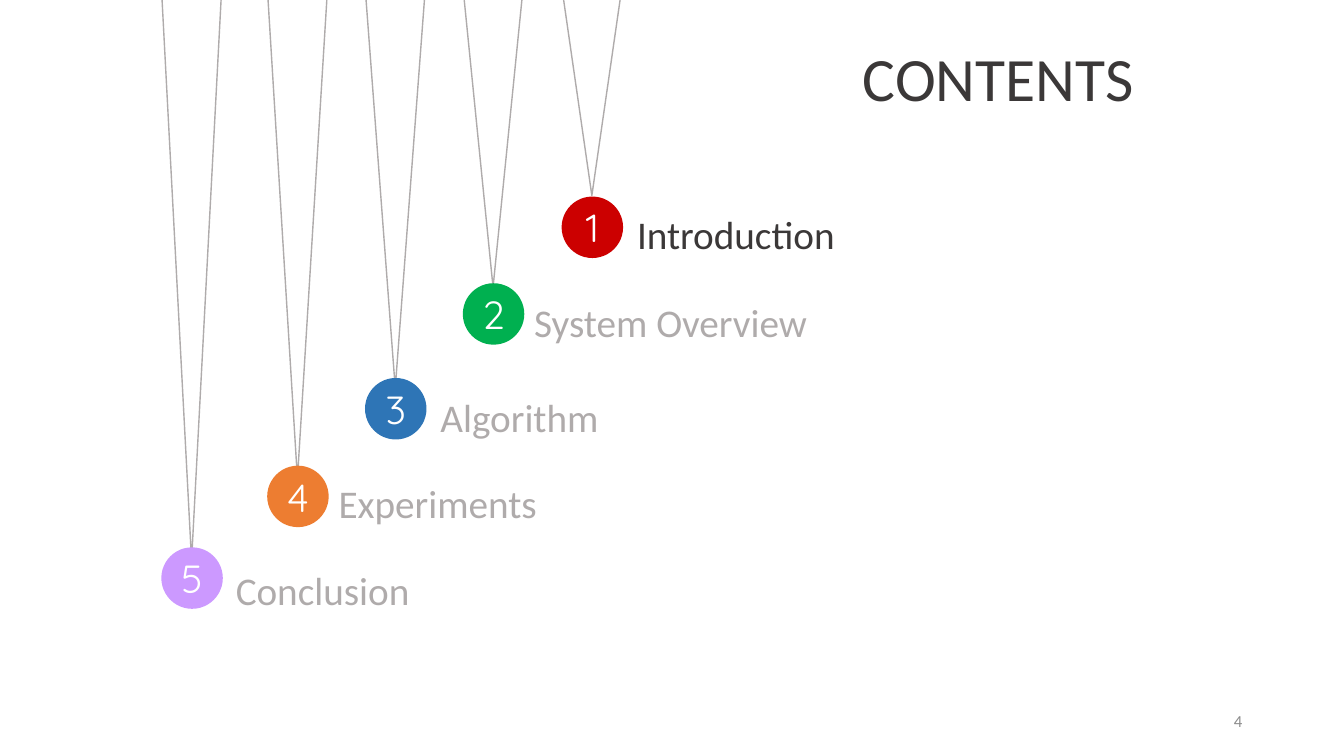
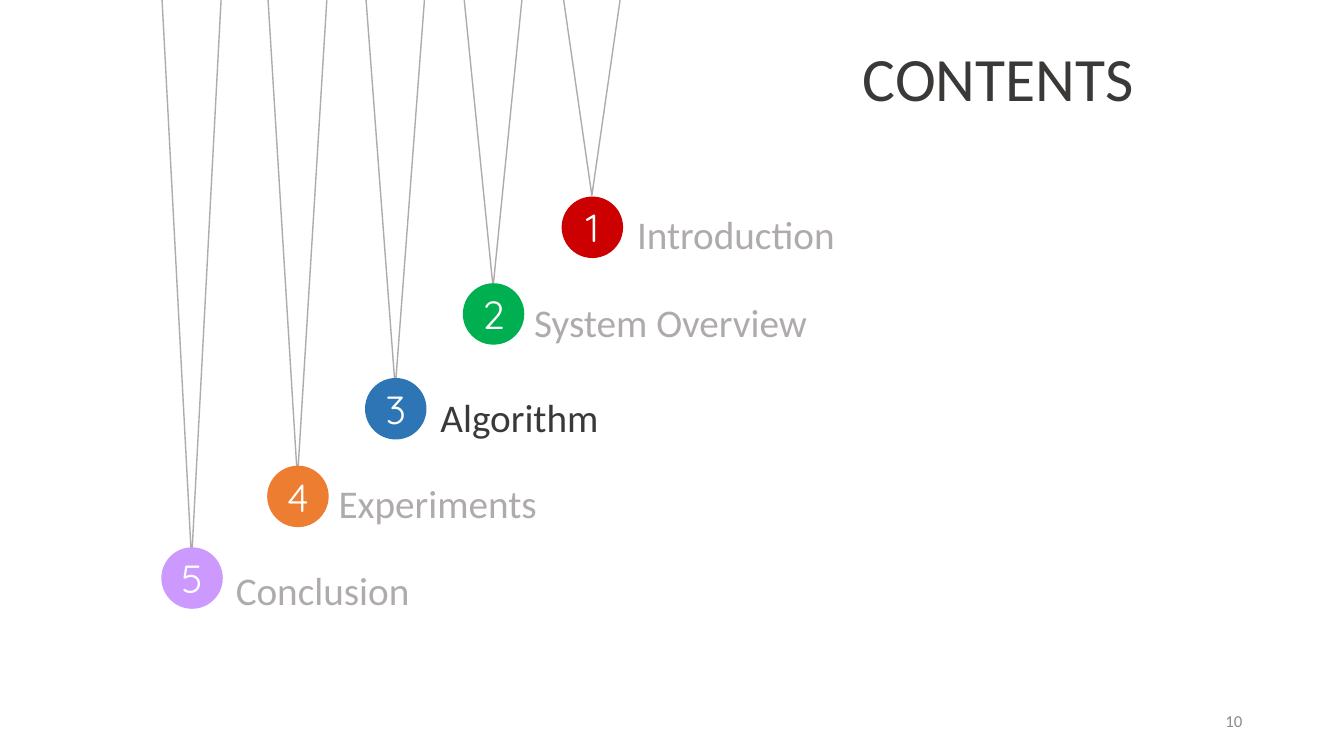
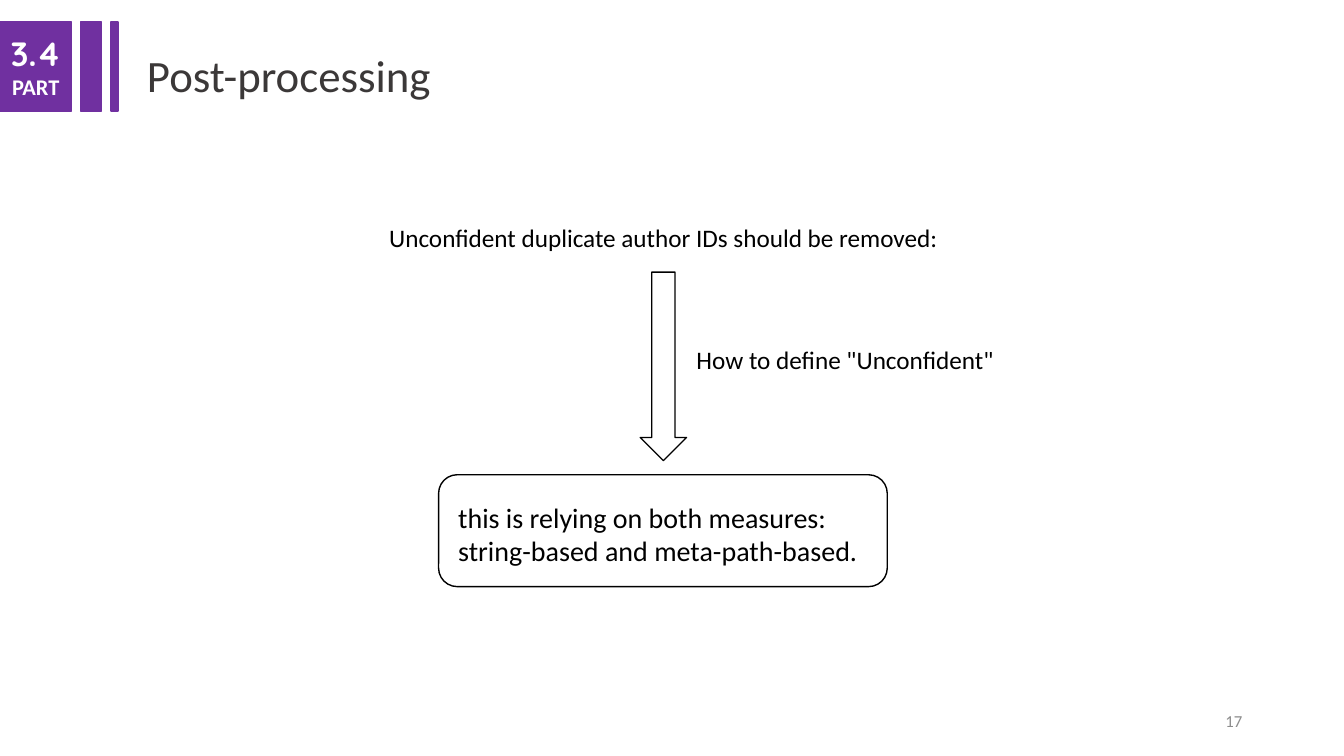
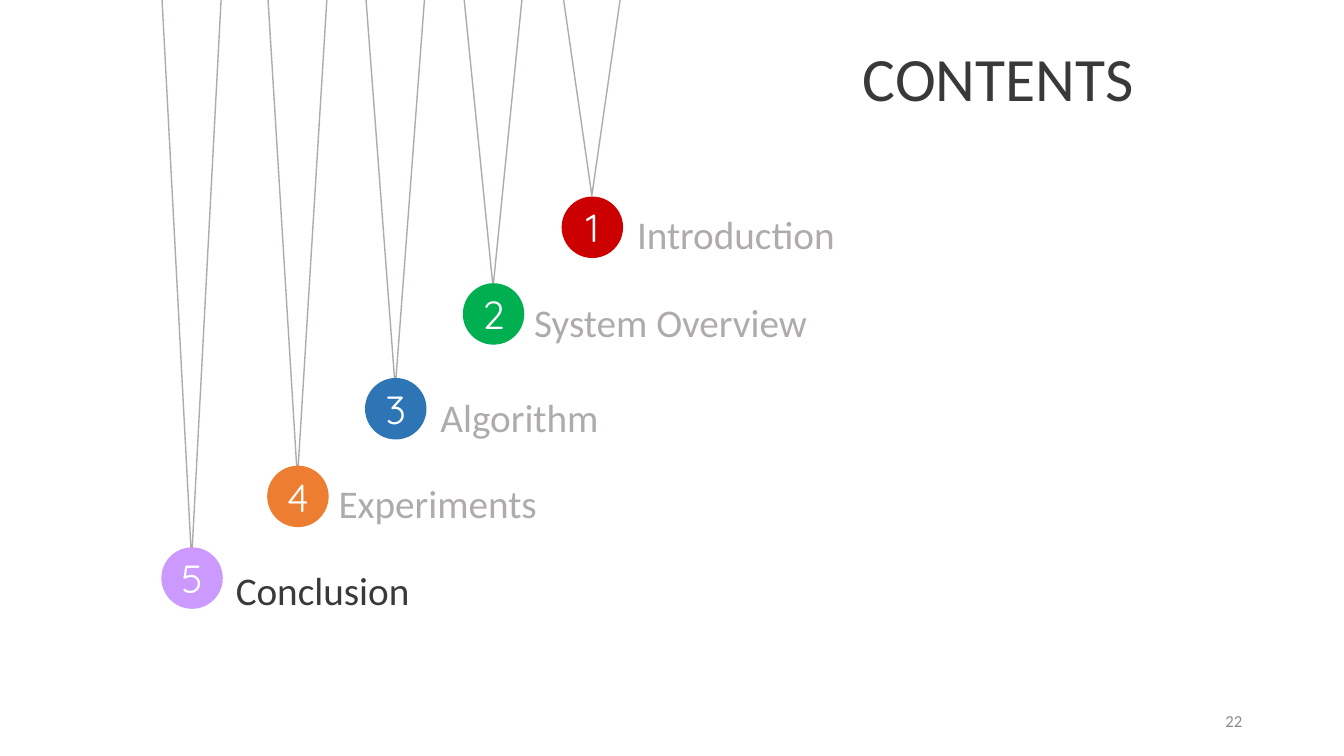
from pptx import Presentation
from pptx.dml.color import RGBColor
from pptx.enum.shapes import MSO_SHAPE
from pptx.enum.text import MSO_ANCHOR, PP_ALIGN
from pptx.util import Inches, Pt

TRIANGLE, OVAL = MSO_SHAPE.ISOSCELES_TRIANGLE, MSO_SHAPE.OVAL
RECT, ROUND = MSO_SHAPE.RECTANGLE, MSO_SHAPE.ROUNDED_RECTANGLE
ARROW = MSO_SHAPE.DOWN_ARROW
LEFT, CENTER, RIGHT = PP_ALIGN.LEFT, PP_ALIGN.CENTER, PP_ALIGN.RIGHT
TOP, MIDDLE = MSO_ANCHOR.TOP, MSO_ANCHOR.MIDDLE

DARK, GRAY, MUTED = "3B3838", "AFABAB", "8C8C8C"
BLACK, WHITE, PURPLE = "000000", "FFFFFF", "7030A0"
BODY, DIGIT = "Calibri", "Quicksand"
BALL, CORD = 0.61, 0.6
CORD_TOP = -0.14

# name, color, ball (left, top), cord end, label (left, top, width, height), line spacing
TOPICS = [
    ("Introduction", "CC0000", (5.57, 1.95), 1.94, (6.22, 1.8, 2.19, 0.73), 1.5),
    ("System Overview", "00B050", (4.59, 2.81), 2.85, (5.2, 2.86, 5.29, 0.59), 1.1),
    ("Algorithm", "2E75B6", (3.62, 3.75), 3.85, (4.27, 3.62, 1.79, 0.73), 1.5),
    ("Experiments", "ED7D31", (2.65, 4.62), 4.75, (3.26, 4.47, 2.19, 0.73), 1.5),
    ("Conclusion", "CC99FF", (1.6, 5.43), 5.56, (2.24, 5.34, 1.94, 0.73), 1.5),
]


def rgb(color):
    return RGBColor.from_string(color)


def inches(box):
    return [Inches(v) for v in box]


def write(frame, text, size=18, color=BLACK, font=BODY, bold=False,
          align=LEFT, anchor=TOP, space=None, inset=(0.1, 0.05, 0.1, 0.05)):
    """Fill a frame; text is a string or a list of (string, size, font) lines."""
    frame.word_wrap = True
    frame.vertical_anchor = anchor
    (frame.margin_left, frame.margin_top,
     frame.margin_right, frame.margin_bottom) = inches(inset)
    lines = [(text, size, font)] if isinstance(text, str) else text
    for i, (words, pts, face) in enumerate(lines):
        para = frame.add_paragraph() if i else frame.paragraphs[0]
        para.alignment = align
        if space:
            para.line_spacing = space
        run = para.add_run()
        run.text = words
        run.font.size, run.font.name, run.font.bold = Pt(pts), face, bold
        run.font.color.rgb = rgb(color)


def label(slide, box, text, **style):
    write(slide.shapes.add_textbox(*inches(box)).text_frame, text, **style)


def draw(slide, kind, box, fill=None, line=None):
    shape = slide.shapes.add_shape(kind, *inches(box))
    shape.shadow.inherit = False
    if fill:
        shape.fill.solid()
        shape.fill.fore_color.rgb = rgb(fill)
    else:
        shape.fill.background()
    if line:
        shape.line.color.rgb = rgb(line)
        shape.line.width = Pt(1)
    else:
        shape.line.fill.background()
    return shape


def start(deck, number):
    """Add a blank slide with its page number."""
    slide = deck.slides.add_slide(deck.slide_layouts[6])
    label(slide, (9.42, 6.95, 3, 0.4), str(number), size=12, color=MUTED,
          align=RIGHT, anchor=MIDDLE)
    return slide


def hang(slide, left, top, end, number, color):
    """Hang a numbered ball from a cord that ends at the given height."""
    cord = draw(slide, TRIANGLE, (left, CORD_TOP, CORD, end - CORD_TOP), line=GRAY)
    cord.rotation = 180
    ball = draw(slide, OVAL, (left, top, BALL, BALL), fill=color)
    write(ball.text_frame, str(number), size=28, color=WHITE, font=DIGIT,
          align=CENTER, anchor=MIDDLE, inset=(0, 0, 0, 0))


def contents(deck, number, active):
    slide = start(deck, number)
    label(slide, (8.46, 0.35, 3.79, 0.84), "CONTENTS", size=44, color=DARK)
    for i, (name, color, (left, top), end, box, space) in enumerate(TOPICS, 1):
        hang(slide, left, top, end, i, color)
        label(slide, box, name, size=28, space=space,
              color=DARK if name == active else GRAY)


def header(slide, top, height, part, title):
    """Draw the part tag, its two bars and the title."""
    tag, *_ = [draw(slide, RECT, (left, top, width, height), PURPLE, PURPLE)
               for left, width in ((0, 0.71), (0.8, 0.21), (1.1, 0.07))]
    write(tag.text_frame, [(part, 24, DIGIT), ("PART", 16, BODY)], color=WHITE,
          bold=True, align=CENTER, anchor=MIDDLE, inset=(0, 0, 0, 0))
    label(slide, (1.36, top + 0.15, 9.1, 0.66), title, size=32, color=DARK,
          space=1.1)


def flow(slide, left, top, width):
    """Draw the claim, the arrow with its question, and the answer below."""
    mid = left + width / 2
    label(slide, (left, top, width, 0.4),
          "Unconfident duplicate author IDs should be removed:", align=CENTER)
    draw(slide, ARROW, (mid - 0.23, top + 0.54, 0.46, 1.87), line=BLACK)
    label(slide, (mid + 0.23, top + 1.21, 3.26, 0.4),
          'How to define "Unconfident"')
    answer = draw(slide, ROUND, (mid - 2.23, top + 2.55, 4.45, 1.11), line=BLACK)
    write(answer.text_frame,
          "this is relying on both measures: string-based and meta-path-based.",
          size=20, anchor=MIDDLE, inset=(0.14, 0.11, 0.1, 0.05))


def process(deck, number):
    slide = start(deck, number)
    header(slide, 0.22, 0.88, "3.4", "Post-processing")
    flow(slide, 3.74, 2.16, 5.68)


def main():
    deck = Presentation()
    deck.slide_width, deck.slide_height = Inches(13.33), Inches(7.5)
    contents(deck, 4, "Introduction")
    contents(deck, 10, "Algorithm")
    process(deck, 17)
    contents(deck, 22, "Conclusion")
    deck.save("out.pptx")


if __name__ == "__main__":
    main()
